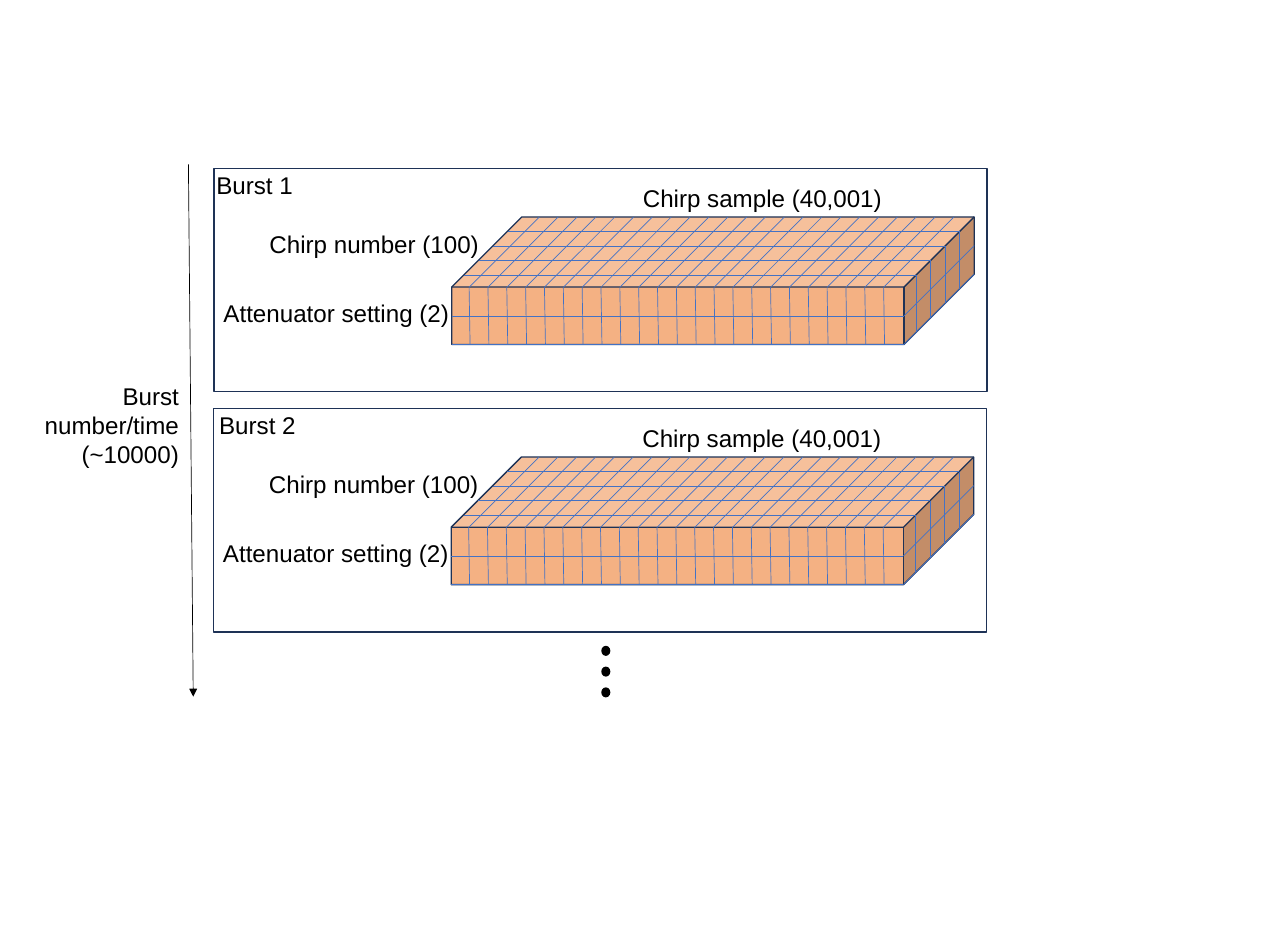
import dataclasses

import pptx
import pptx.dml.color
import pptx.enum.shapes
import pptx.enum.text
import pptx.oxml
import pptx.oxml.ns
import pptx.util

Color = pptx.dml.color.RGBColor
Kind = pptx.enum.shapes.MSO_SHAPE
Align = pptx.enum.text.PP_ALIGN

BLACK = Color(0x00, 0x00, 0x00)
NAVY = Color(0x1E, 0x32, 0x56)
BLUE = Color(0x44, 0x72, 0xC4)
PEACH = Color(0xF4, 0xB1, 0x83)

# The slide is a grid of square cells, ten to the inch.
CELL = pptx.util.Inches(0.1)
COLS, ROWS = 133.3, 98

FONT = {"name": "Arial", "size": pptx.util.Pt(18)}
FRAME = {"word_wrap": True, "auto_size": pptx.enum.text.MSO_AUTO_SIZE.SHAPE_TO_FIT_TEXT}

# The block of data, measured from the top left corner of its burst.
LEFT, TOP = 24.6, 5.0
WIDTH, DEPTH, HEIGHT = 46.8, 7.28, 5.92
EDGE = TOP + DEPTH
RIGHT, BASE = LEFT + WIDTH, EDGE + HEIGHT


@dataclasses.dataclass(frozen=True)
class Box:
    x: float
    y: float
    wide: float
    high: float


@dataclasses.dataclass(frozen=True)
class Label:
    box: Box
    lines: tuple[str, ...]
    align: Align = Align.LEFT


@dataclasses.dataclass(frozen=True)
class Burst:
    x: float
    y: float
    title: Label


NOTES = (
    Label(Box(43.4, 1.05, 27, 4), ("Chirp sample (40,001)",)),
    Label(Box(0, 12.95, 25.6, 4), ("Attenuator setting (2)",)),
    Label(Box(4.75, 5.8, 23.9, 4), ("Chirp number (100)",)),
)
BURSTS = (
    Burst(22.1, 42.3, Label(Box(-0.4, -0.3, 10, 4), ("Burst 2",))),
    Burst(22.15, 17.45, Label(Box(-0.75, -0.3, 23.6, 4), ("Burst 1",))),
)
TIME = Label(Box(2.9, 39, 16.6, 10.1), ("Burst number/time", "(~10000)"), Align.RIGHT)


def cells(count: float) -> int:
    return round(count * CELL)


class Canvas:
    """Draws on one slide, relative to a given corner."""

    def __init__(self, shapes, x: float = 0, y: float = 0) -> None:
        self.shapes, self.x, self.y = shapes, x, y

    def place(self, box: Box) -> list[int]:
        return [cells(n) for n in (self.x + box.x, self.y + box.y, box.wide, box.high)]

    def shape(self, kind: Kind, box: Box, line: Color, fill: Color | None = None):
        item = self.shapes.add_shape(kind, *self.place(box))
        item.shadow.inherit = False
        item.line.color.rgb = line
        item.line.width = pptx.util.Pt(1)
        if fill is None:
            item.fill.background()
        else:
            item.fill.solid()
            item.fill.fore_color.rgb = fill
        return item

    def text(self, label: Label) -> None:
        frame = self.shapes.add_textbox(*self.place(label.box)).text_frame
        for key, value in FRAME.items():
            setattr(frame, key, value)
        frame.text = "\n".join(label.lines)
        for part in frame.paragraphs:
            part.alignment = label.align
            for run in part.runs:
                for key, value in FONT.items():
                    setattr(run.font, key, value)
                run.font.color.rgb = BLACK

    def line(self, x1: float, y1: float, x2: float, y2: float, color: Color = BLUE):
        ends = [cells(n) for n in (self.x + x1, self.y + y1, self.x + x2, self.y + y2)]
        item = self.shapes.add_connector(pptx.enum.shapes.MSO_CONNECTOR.STRAIGHT, *ends)
        item.line.color.rgb = color
        item.line.width = pptx.util.Pt(0.5)
        pptx.oxml.ns  # namespace helpers for the XML parts below
        props = item._element.spPr
        props.append(props.makeelement(pptx.oxml.ns.qn("a:effectLst"), {}))
        return item


def draw_mesh(art: Canvas) -> None:
    """Rule the top and side of the block into cells."""
    middle = EDGE + HEIGHT / 2
    art.line(LEFT, middle, RIGHT, middle)
    art.line(LEFT, BASE, RIGHT, BASE)
    for y in (middle, BASE):
        art.line(RIGHT, y, RIGHT + DEPTH, y - DEPTH)
    for row in range(1, 5):
        y = TOP + 1.5 * row
        shift = EDGE - y
        art.line(LEFT + shift, y, RIGHT + shift, y)
        art.line(RIGHT + shift, y + HEIGHT, RIGHT + shift, y)


def draw_burst(shapes, burst: Burst) -> None:
    art = Canvas(shapes, burst.x, burst.y)
    box = Box(LEFT, TOP, WIDTH + DEPTH, DEPTH + HEIGHT)
    block = art.shape(Kind.CUBE, box, NAVY, PEACH)
    block.adjustments[0] = 0.55
    for note in NOTES:
        art.text(note)
    draw_mesh(art)
    for col in range(23):
        x = LEFT + 1.8 + 1.95 * col
        art.line(x, EDGE, x + DEPTH, TOP)
        art.line(x + 0.1, BASE, x, EDGE)
    art.shape(Kind.RECTANGLE, Box(0, 0, 80, 23.1), NAVY)
    art.text(burst.title)


def main() -> None:
    deck = pptx.Presentation()
    deck.slide_width, deck.slide_height = cells(COLS), cells(ROWS)
    shapes = deck.slides.add_slide(deck.slide_layouts[6]).shapes
    for burst in BURSTS:
        draw_burst(shapes, burst)
    art = Canvas(shapes)
    for dot in range(3):
        art.shape(Kind.OVAL, Box(62.3, 66.9 + 2.15 * dot, 0.8, 0.9), BLACK, BLACK)
    art.text(TIME)
    arrow = art.line(19.5, 17, 20, 72.1, BLACK)
    stroke = arrow.line._get_or_add_ln()
    stroke.append(stroke.makeelement(pptx.oxml.ns.qn("a:tailEnd"), {"type": "triangle"}))
    deck.save("out.pptx")


if __name__ == "__main__":
    main()
